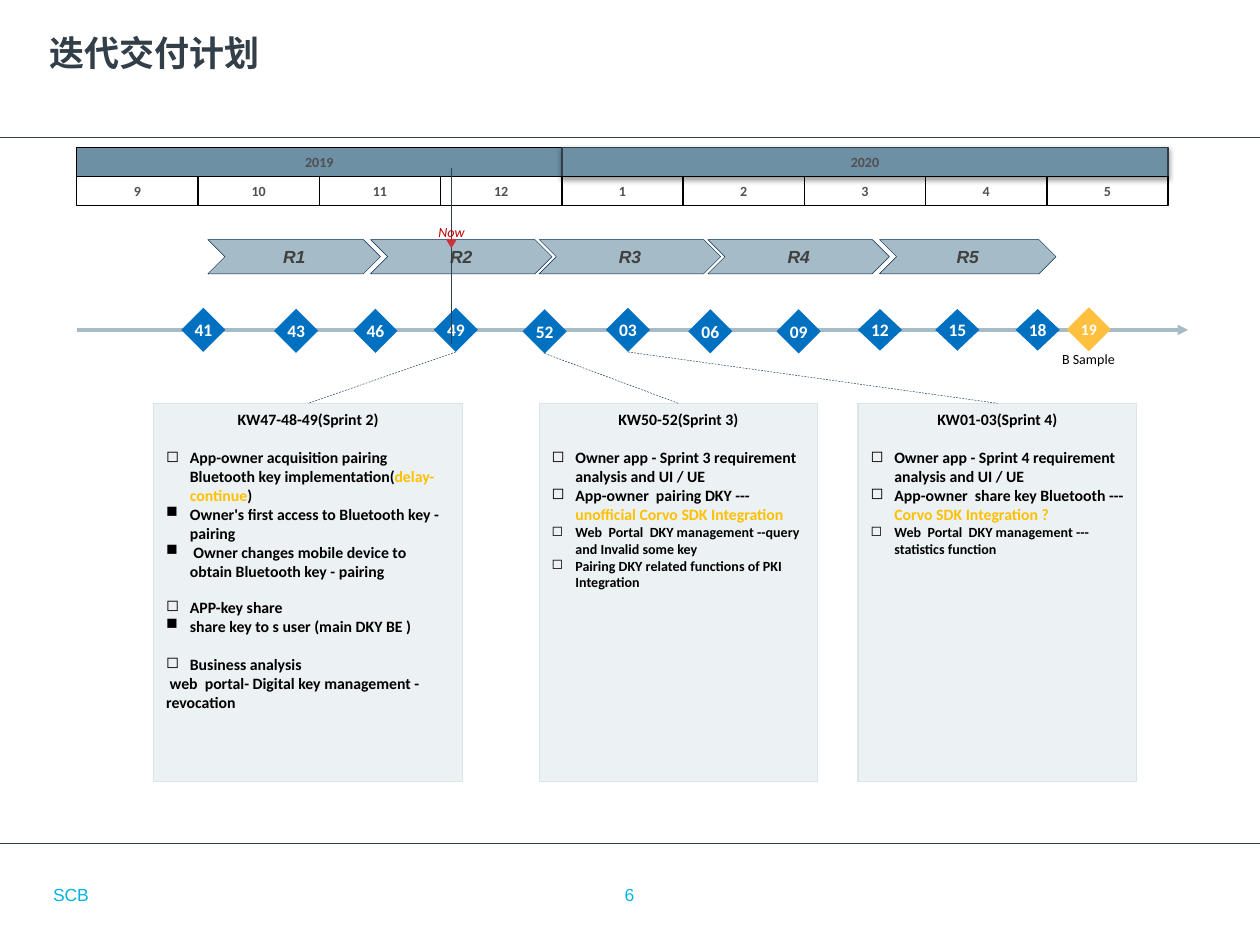
"""Build the iteration delivery plan slide: calendar, releases, sprint timeline."""
from lxml import etree
from pptx import Presentation
from pptx.dml.color import RGBColor
from pptx.enum.dml import MSO_LINE
from pptx.enum.shapes import MSO_CONNECTOR, MSO_SHAPE
from pptx.enum.text import MSO_ANCHOR, PP_ALIGN
from pptx.oxml import parse_xml
from pptx.oxml.ns import nsdecls, qn
from pptx.util import Cm, Pt

RECT, CHEVRON, DIAMOND = MSO_SHAPE.RECTANGLE, MSO_SHAPE.CHEVRON, MSO_SHAPE.DIAMOND
TRIANGLE = MSO_SHAPE.ISOSCELES_TRIANGLE
STRAIGHT, DASH = MSO_CONNECTOR.STRAIGHT, MSO_LINE.DASH
TOP, MIDDLE = MSO_ANCHOR.TOP, MSO_ANCHOR.MIDDLE
LEFT, CENTER = PP_ALIGN.LEFT, PP_ALIGN.CENTER

COLORS = {
    "slate": "333F48", "cyan": "00B5E2", "steel": "6D90A5", "edge": "313E47",
    "mist": "A6BBC8", "navy": "00264B", "blue": "0070C0", "amber": "FFBF3F",
    "gold": "FFC000", "pale": "DBE4E9", "black": "000000", "white": "FFFFFF",
    "gray": "505050", "dark": "404040", "red": "C00000", "marker": "CB323A",
}

TITLE = "迭代交付计划"
YEARS = [("2019", 4, "black"), ("2020", 5, "edge")]
MONTHS = ["9", "10", "11", "12", "1", "2", "3", "4", "5"]
RELEASES = [("R1", 4.19, 3.48), ("R2", 7.47, 3.66), ("R3", 10.87, 3.66),
            ("R4", 14.27, 3.66), ("R5", 17.73, 3.56)]
WEEKS = [("41", 4.1, 6.65, 0.89), ("43", 5.97, 6.67, 0.89), ("46", 7.57, 6.67, 0.89),
         ("49", 9.19, 6.65, 0.89), ("52", 10.98, 6.68, 0.89), ("03", 12.66, 6.65, 0.89),
         ("06", 14.32, 6.68, 0.89), ("09", 16.1, 6.68, 0.89), ("12", 17.74, 6.65, 0.84),
         ("15", 19.3, 6.65, 0.84), ("18", 20.92, 6.65, 0.84), ("19", 21.95, 6.64, 0.89)]
OPEN, DONE = "◻", "■"
SPRINTS = [
    {"week": "49", "left": 3.1, "width": 6.22, "heading": "KW47-48-49(Sprint 2)", "items": [
        (OPEN, 9, 11, [("App-owner acquisition pairing Bluetooth key implementation(", "black"),
                       ("delay-continue", "gold"), (")", "black")]),
        (DONE, 9, 0, [("Owner's first access to Bluetooth key - pairing", "black")]),
        (DONE, 9, 0, [(" Owner changes mobile device to obtain Bluetooth key - pairing", "black")]),
        (OPEN, 9, 9.75, [("APP-key share", "black")]),
        (DONE, 9, 0, [("share key to s user (main DKY BE )", "black")]),
        (OPEN, 9, 11, [("Business analysis", "black")]),
        (None, 9, 0, [(" web  portal- Digital key management - revocation", "black")])]},
    {"week": "52", "left": 10.87, "width": 5.61, "heading": "KW50-52(Sprint 3)", "items": [
        (OPEN, 9, 11, [("Owner app - Sprint 3 requirement analysis and UI / UE", "black")]),
        (OPEN, 9, 0, [("App-owner  pairing DKY ---", "black"),
                      ("unofficial Corvo SDK Integration", "gold")]),
        (OPEN, 8, 0, [("Web  Portal  DKY management --query and Invalid some key", "black")]),
        (OPEN, 8, 0, [("Pairing DKY related functions of PKI Integration", "black")])]},
    {"week": "03", "left": 17.3, "width": 5.61, "heading": "KW01-03(Sprint 4)", "items": [
        (OPEN, 9, 11, [("Owner app - Sprint 4 requirement analysis and UI / UE", "black")]),
        (OPEN, 9, 0, [("App-owner  share key Bluetooth ---", "black"),
                      ("Corvo SDK Integration ?", "gold")]),
        (OPEN, 8, 0, [("Web  Portal  DKY management --- statistics function", "black")])]},
]

CALENDAR_LEFT, CALENDAR_RIGHT, ROW_TOP, ROW_HEIGHT = 1.55, 23.55, 2.97, 0.59
MONTH_WIDTH = (CALENDAR_RIGHT - CALENDAR_LEFT) / len(MONTHS)
SPRINT_TOP, SPRINT_HEIGHT, BULLET_INDENT = 8.13, 7.62, 0.48
NOW_X = 9.1

deck = Presentation()
deck.slide_width, deck.slide_height = Cm(25.4), Cm(19.05)
slide = deck.slides.add_slide(deck.slide_layouts[6])


def rgb(name):
    return RGBColor.from_string(COLORS[name])


def add_run(paragraph, text, size, color, font="Calibri", **style):
    run = paragraph.add_run()
    run.text = text
    run.font.color.rgb = rgb(color)
    for key, value in {"name": font, "size": Pt(size), **style}.items():
        setattr(run.font, key, value)


def set_frame(frame, anchor=MIDDLE, wrap=True, inset=(0, 0)):
    side, edge = (Cm(value) for value in inset)
    for key, value in {"word_wrap": wrap, "vertical_anchor": anchor,
                       "margin_left": side, "margin_right": side,
                       "margin_top": edge, "margin_bottom": edge}.items():
        setattr(frame, key, value)


def add_label(box, text, size, color, align=LEFT, anchor=MIDDLE, wrap=True, **style):
    frame = slide.shapes.add_textbox(*map(Cm, box)).text_frame
    set_frame(frame, anchor, wrap)
    frame.paragraphs[0].alignment = align
    add_run(frame.paragraphs[0], text, size, color, **style)


def add_block(kind, box, fill=None, line=None, width=0.75):
    block = slide.shapes.add_shape(kind, *map(Cm, box))
    block.shadow.inherit = False
    if fill:
        block.fill.solid()
        block.fill.fore_color.rgb = rgb(fill)
    else:
        block.fill.background()
    if line:
        block.line.color.rgb = rgb(line)
        block.line.width = Pt(width)
    else:
        block.line.fill.background()
    return block


def add_caption(block, text, size, color, **style):
    set_frame(block.text_frame, wrap=False)
    paragraph = block.text_frame.paragraphs[0]
    paragraph.alignment = CENTER
    add_run(paragraph, text, size, color, bold=True, **style)


def add_line(start, end, color, width, dash=None):
    line = slide.shapes.add_connector(STRAIGHT, *map(Cm, start + end))
    line.line.color.rgb = rgb(color)
    line.line.width = Pt(width)
    if dash:
        line.line.dash_style = dash
    etree.SubElement(line._element.spPr, qn("a:effectLst"))
    return line


for rule_y in (16.99, 2.77):
    add_line((0, rule_y), (25.4, rule_y), "slate", 0.25)
add_label((1.07, 17.63, 7.8, 0.79), "SCB", 10, "cyan", font="Arial")
add_label((9.73, 17.63, 5.92, 0.79), "6", 10, "cyan", CENTER, font="Arial")
add_label((0.99, 0.64, 20.32, 1.57), TITLE, 20, "slate", anchor=TOP, wrap=False, bold=True)

year_left = CALENDAR_LEFT
for year, month_count, outline in YEARS:
    year_width = month_count * MONTH_WIDTH
    year_block = add_block(RECT, (year_left, ROW_TOP, year_width, ROW_HEIGHT), "steel", outline)
    add_caption(year_block, year, 8, "gray")
    year_left += year_width
effects = year_block._element.spPr.find(qn("a:effectLst"))
effects.append(parse_xml(
    f'<a:outerShdw {nsdecls("a")} blurRad="39370" dist="20320" dir="5400000" rotWithShape="0">'
    '<a:srgbClr val="000000"><a:alpha val="38000"/></a:srgbClr></a:outerShdw>'))

for index, month in enumerate(MONTHS):
    month_box = (CALENDAR_LEFT + index * MONTH_WIDTH, ROW_TOP + ROW_HEIGHT, MONTH_WIDTH, ROW_HEIGHT)
    add_caption(add_block(RECT, month_box, line="black"), month, 8, "gray")

for release, left, width in RELEASES:
    chevron = add_block(CHEVRON, (left, 4.83, width, 0.69), "mist", "navy", 0.25)
    add_caption(chevron, release, 10, "dark", font="Arial", italic=True)

timeline = add_line((CALENDAR_LEFT, 6.65), (23.95, 6.65), "mist", 2)
etree.SubElement(timeline.line._get_or_add_ln(), qn("a:tailEnd"), type="triangle")

week_bottoms = {}
for week, center_x, center_y, height in WEEKS:
    sample = week == "19"
    diamond = add_block(DIAMOND, (center_x - 0.445, center_y - height / 2, 0.89, height),
                        "amber" if sample else "blue")
    add_caption(diamond, week, 9 if sample else 10, "white")
    week_bottoms[week] = (center_x, center_y + height / 2)
add_label((21.41, 7.06, 2.44, 0.35), "B Sample", 8, "black")

add_line((NOW_X, 3.38), (NOW_X, 6.93), "slate", 0.75)
add_label((NOW_X - 0.54, 4.5, 1.09, 0.36), "Now", 8, "red", CENTER, italic=True)
add_block(TRIANGLE, (NOW_X - 0.09, 4.83, 0.18, 0.15), "marker", "marker").rotation = 180

for sprint in SPRINTS:
    left, width = sprint["left"], sprint["width"]
    panel = add_block(RECT, (left, SPRINT_TOP, width, SPRINT_HEIGHT), "pale", "pale")
    fill_color = panel._element.spPr.find(qn("a:solidFill"))[0]
    etree.SubElement(fill_color, qn("a:alpha"), val="50000")
    frame = panel.text_frame
    set_frame(frame, TOP, inset=(0.25, 0.13))
    frame.paragraphs[0].alignment = CENTER
    add_run(frame.paragraphs[0], sprint["heading"], 9, "black", bold=True)
    for bullet, size, gap, parts in sprint["items"]:
        paragraph = frame.add_paragraph()
        paragraph.alignment = LEFT
        paragraph.space_before = Pt(gap)
        if bullet:
            properties = paragraph._p.get_or_add_pPr()
            properties.set("marL", str(Cm(BULLET_INDENT)))
            properties.set("indent", str(-Cm(BULLET_INDENT)))
            etree.SubElement(properties, qn("a:buChar"), char=bullet)
        for text, color in parts:
            add_run(paragraph, text, size, color, bold=True)
    add_line(week_bottoms[sprint["week"]], (left + width / 2, SPRINT_TOP), "navy", 0.25, DASH)

deck.save("out.pptx")
